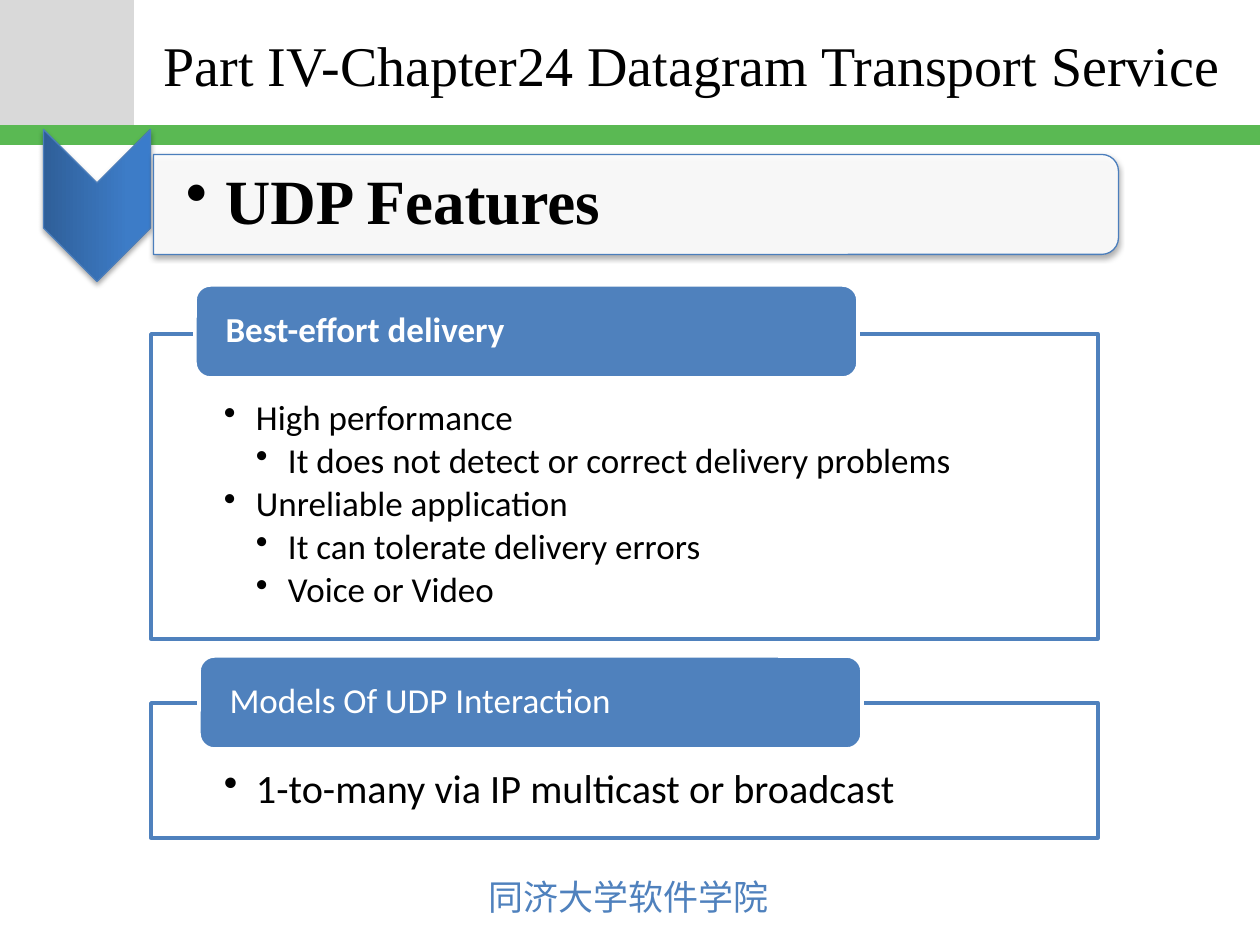
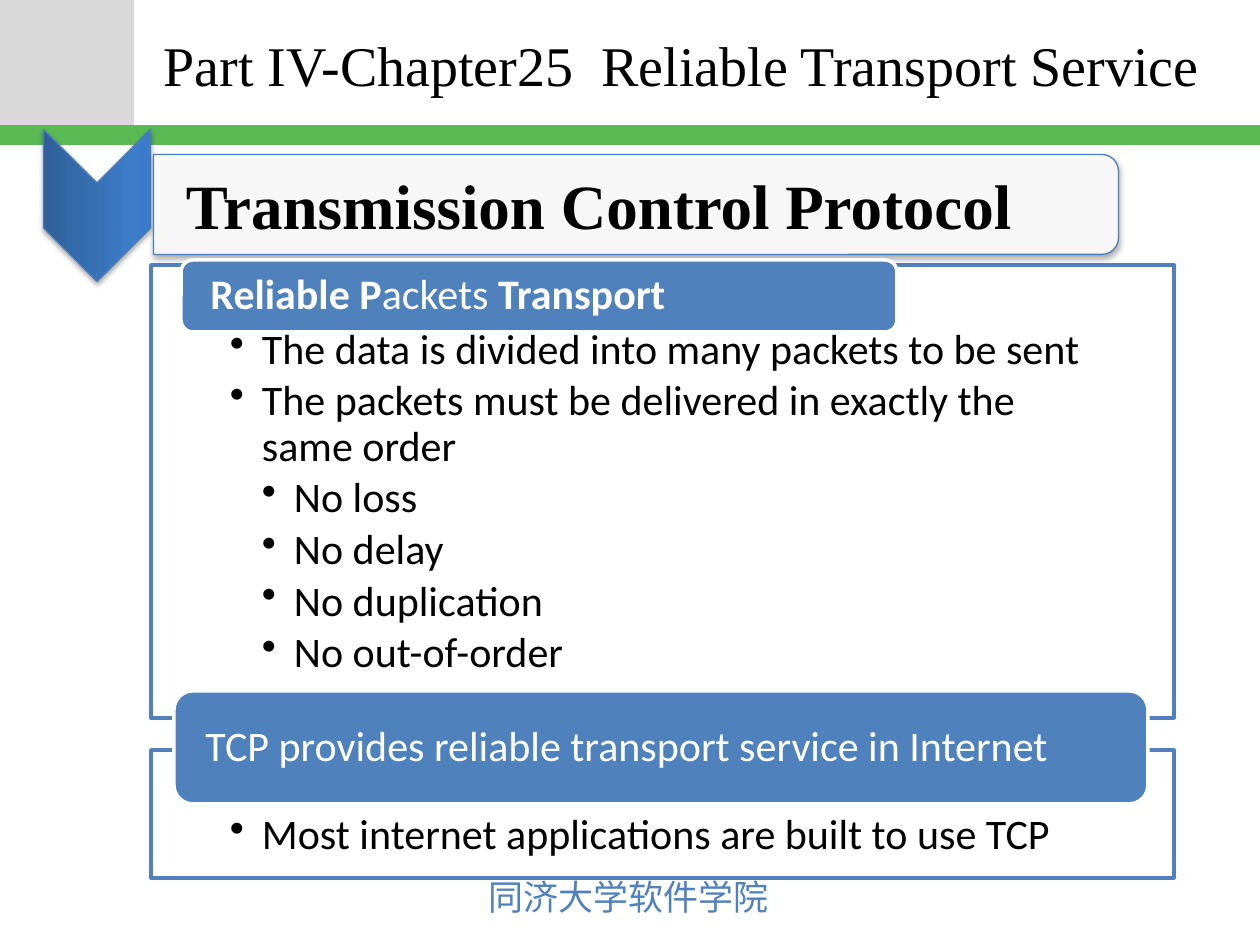
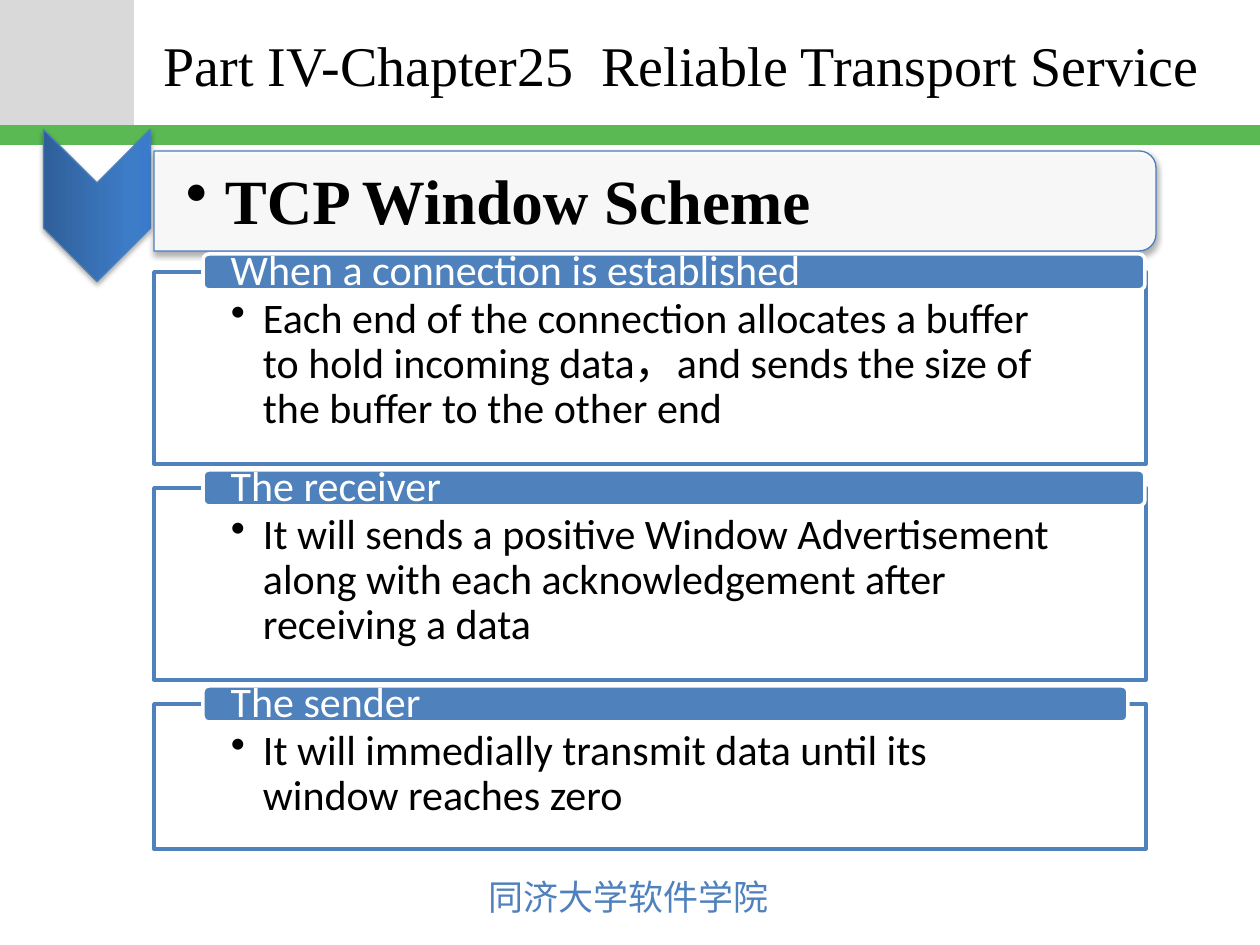
from copy import deepcopy

from lxml.etree import SubElement
from pptx import Presentation
from pptx.dml.color import RGBColor
from pptx.enum.shapes import MSO_SHAPE as SHAPE
from pptx.enum.text import MSO_ANCHOR as ANCHOR, MSO_AUTO_SIZE as AUTO_SIZE, PP_ALIGN as ALIGN
from pptx.oxml.ns import qn
from pptx.util import Pt

PX = 7257
BLUE, EDGE, GREEN, GREY = "4F81BD", "4B7EBC", "5AB953", "D9D9D9"
BLACK, WHITE = "000000", "FFFFFF"
SERIF, SANS, CJK = "Times New Roman", "Calibri", "Noto Sans CJK JP"
colour = RGBColor.from_string


def add_part(slide, kind, box, fill=None, line=None, width=0, alpha=None, shadow=False):
    lengths = [value * PX for value in box]
    if kind is None:
        part = slide.shapes.add_textbox(*lengths)
        part.text_frame.word_wrap = True
        return part
    part = slide.shapes.add_shape(kind, *lengths)
    part.shadow.inherit = False
    part.fill.solid()
    part.fill.fore_color.rgb = colour(fill)
    properties = part._element.spPr
    if alpha:
        tint = properties.find(qn("a:solidFill")).find(qn("a:srgbClr"))
        SubElement(tint, qn("a:alpha"), val=str(alpha * 1000))
    if line:
        part.line.color.rgb = colour(line)
        part.line.width = Pt(width)
    else:
        part.line.fill.background()
    if shadow:
        outer = SubElement(properties.find(qn("a:effectLst")), qn("a:outerShdw"),
                           blurRad="40000", dist="23000", dir="5400000", rotWithShape="0")
        shade = SubElement(outer, qn("a:srgbClr"), val=BLACK)
        SubElement(shade, qn("a:alpha"), val="35000")
    return part


def write(paragraph, runs, size, face, ink, bold=False, level=0, hang=0, after=None):
    for text in runs:
        paragraph.add_run().text = text
    paragraph.alignment = ALIGN.LEFT
    if level:
        paragraph.level = level
        properties = paragraph._p.get_or_add_pPr()
        properties.set("marL", str(level * hang * PX))
        properties.set("indent", str(-hang * PX))
        SubElement(properties, qn("a:buChar"), char="•")
    if after:
        paragraph.line_spacing = 0.9
        paragraph.space_after = Pt(size * after)
    font = paragraph.font
    font.size, font.name, font.bold = Pt(size), face, bold
    font.color.rgb = colour(ink)


RELIABLE = "Part IV-Chapter25  Reliable Transport Service"
WIDE = (154, 151, 1002, 100)
NARROW = (154, 154, 965, 100)

chapters = [
    ("Part IV-Chapter24 Datagram Transport Service", "UDP Features", True, NARROW, (73, 66), [
        ((151, 334, 947, 305), (195, 285, 663, 93), ["Best-effort delivery"], True, 20, 20, [
            (1, "High performance"),
            (2, "It does not detect or correct delivery problems"),
            (1, "Unreliable application"),
            (2, "It can tolerate delivery errors"),
            (2, "Voice or Video")]),
        ((151, 703, 947, 135), (199, 656, 663, 93), ["Models Of UDP Interaction"], False, 20, 23, [
            (1, "1-to-many via IP multicast or broadcast")]),
    ]),
    (RELIABLE, "Transmission Control Protocol", False, NARROW, (79, 63), [
        ((151, 265, 1023, 453), (181, 260, 716, 72),
         ["Reliable P", "ackets ", "Transport"], True, 24, 24, [
            (1, "The data is divided into many packets to be sent"),
            (1, "The packets must be delivered in exactly the same order"),
            (2, "No loss"),
            (2, "No delay"),
            (2, "No duplication"),
            (2, "No out-of-order")]),
        ((151, 750, 1023, 128), (174, 691, 974, 113),
         ["TCP provides reliable transport service in Internet"], False, 24, 24, [
            (1, "Most internet applications are built to use TCP")]),
    ]),
    (RELIABLE, "TCP Window Scheme", True, WIDE, (77, 25), [
        ((154, 272, 992, 192), (203, 254, 942, 36),
         ["When a connection is established"], False, 24, 24, [
            (1, "Each end of the connection allocates a buffer to hold incoming data，"
                "and sends the size of the buffer to the other end")]),
        ((154, 488, 992, 192), (203, 470, 942, 36), ["The receiver"], False, 24, 24, [
            (1, "It will sends a positive Window Advertisement along with each "
                "acknowledgement after receiving a data")]),
        ((154, 704, 992, 145), (203, 686, 925, 36), ["The sender"], False, 24, 24, [
            (1, "It will immedially transmit data until its window reaches zero")]),
    ]),
]

deck = Presentation()
deck.slide_width, deck.slide_height = 1260 * PX, 945 * PX

for title, heading, bulleted, banner, (side, top), panels in chapters:
    slide = deck.slides.add_slide(deck.slide_layouts[6])
    add_part(slide, SHAPE.RECTANGLE, (0, 0, 134, 125), GREY)
    add_part(slide, SHAPE.RECTANGLE, (0, 125, 1260, 20), GREEN)

    school = add_part(slide, None, (476, 869, 309, 55)).text_frame
    school.word_wrap = False
    school.auto_size = AUTO_SIZE.SHAPE_TO_FIT_TEXT
    write(school.paragraphs[0], ["同济大学软件学院"], 20, CJK, BLUE)
    SubElement(school.paragraphs[0]._p.pPr.find(qn("a:defRPr")), qn("a:ea"), typeface=CJK)

    chapter = add_part(slide, None, (151, 3, 1084, 123)).text_frame
    chapter.vertical_anchor = ANCHOR.MIDDLE
    write(chapter.paragraphs[0], [title], 32, SERIF, BLACK)

    marker = add_part(slide, SHAPE.CHEVRON, (21, 152, 152, 107), BLUE, EDGE, 0.75, shadow=True)
    marker.rotation = 90
    marker.fill.gradient()
    marker.fill.gradient_angle = 90
    stops = marker._element.spPr.find(qn("a:gradFill")).find(qn("a:gsLst"))
    stops.append(deepcopy(stops[-1]))
    shades = [(0, "2F5F99"), (0.8, "3D7CC7"), (1, "3A7CCB")]
    for stop, (position, shade) in zip(marker.fill.gradient_stops, shades):
        stop.position = position
        stop.color.rgb = colour(shade)

    left, upper, width, height = banner
    shift = (width - height) // 2
    plate = add_part(slide, SHAPE.ROUND_2_SAME_RECTANGLE,
                     (left + shift, upper - shift, height, width),
                     WHITE, EDGE, 0.75, alpha=90, shadow=True)
    plate.rotation = 90
    topic = add_part(slide, None, (154, 160, width - 4, 89)).text_frame
    topic.vertical_anchor = ANCHOR.MIDDLE
    topic.margin_left = 32 * PX
    topic.margin_top = topic.margin_right = topic.margin_bottom = 3 * PX
    if bulleted:
        write(topic.paragraphs[0], [heading], 36, SERIF, BLACK, True, 1, 39, 0.15)
    else:
        write(topic.paragraphs[0], [heading], 36, SERIF, BLACK, True)

    for frame, tab, label, bold, label_size, body_size, points in panels:
        body = add_part(slide, SHAPE.RECTANGLE, frame, WHITE, BLUE, 2, alpha=90).text_frame
        body.vertical_anchor = ANCHOR.TOP
        body.margin_left = body.margin_right = side * PX
        body.margin_top, body.margin_bottom = top * PX, 23 * PX
        for index, (level, point) in enumerate(points):
            paragraph = body.add_paragraph() if index else body.paragraphs[0]
            write(paragraph, [point], body_size, SANS, BLACK, False, level, 32, 0.15)

        caption = add_part(slide, SHAPE.ROUNDED_RECTANGLE, tab, BLUE, WHITE, 2).text_frame
        caption.vertical_anchor = ANCHOR.MIDDLE
        caption.margin_left = caption.margin_right = 26 * PX
        caption.margin_top = caption.margin_bottom = 0
        write(caption.paragraphs[0], label, label_size, SANS, WHITE, bold, after=0.35)
        for run in caption.paragraphs[0].runs[1::2]:
            run.font.bold = False

deck.save("out.pptx")
